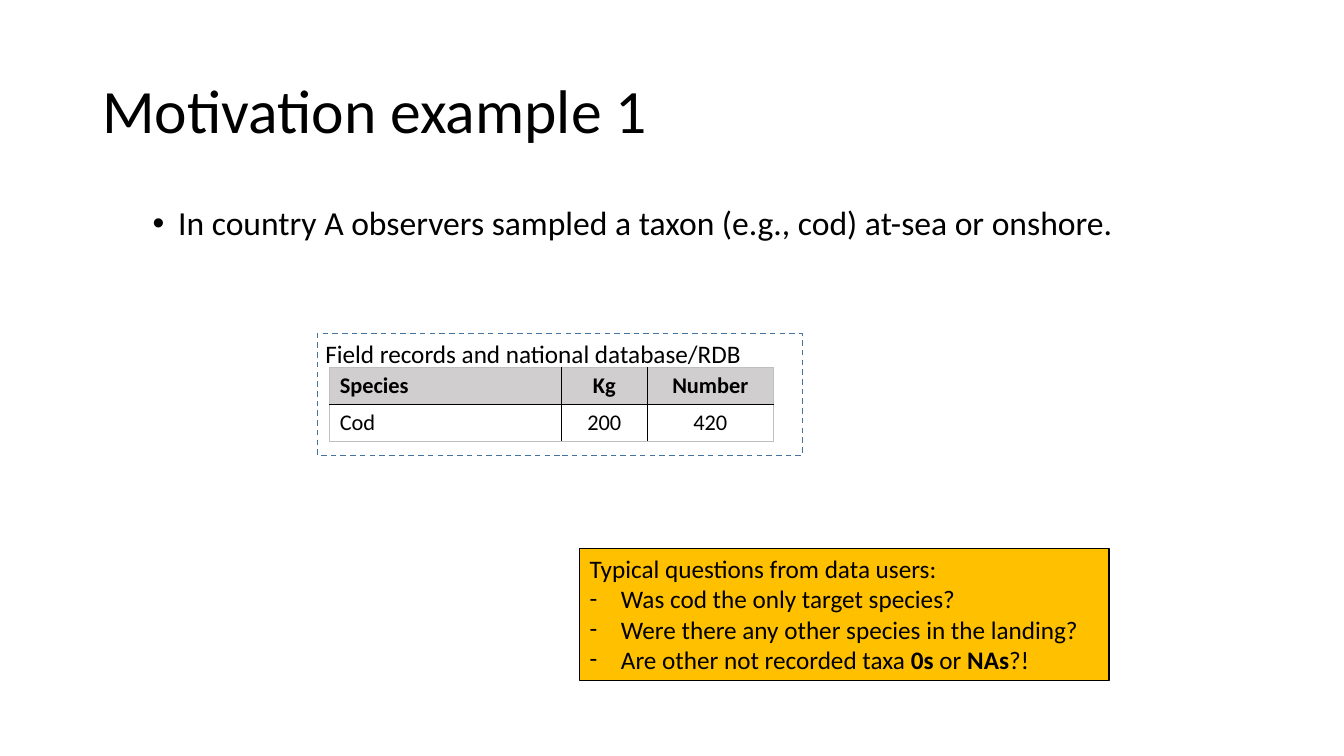
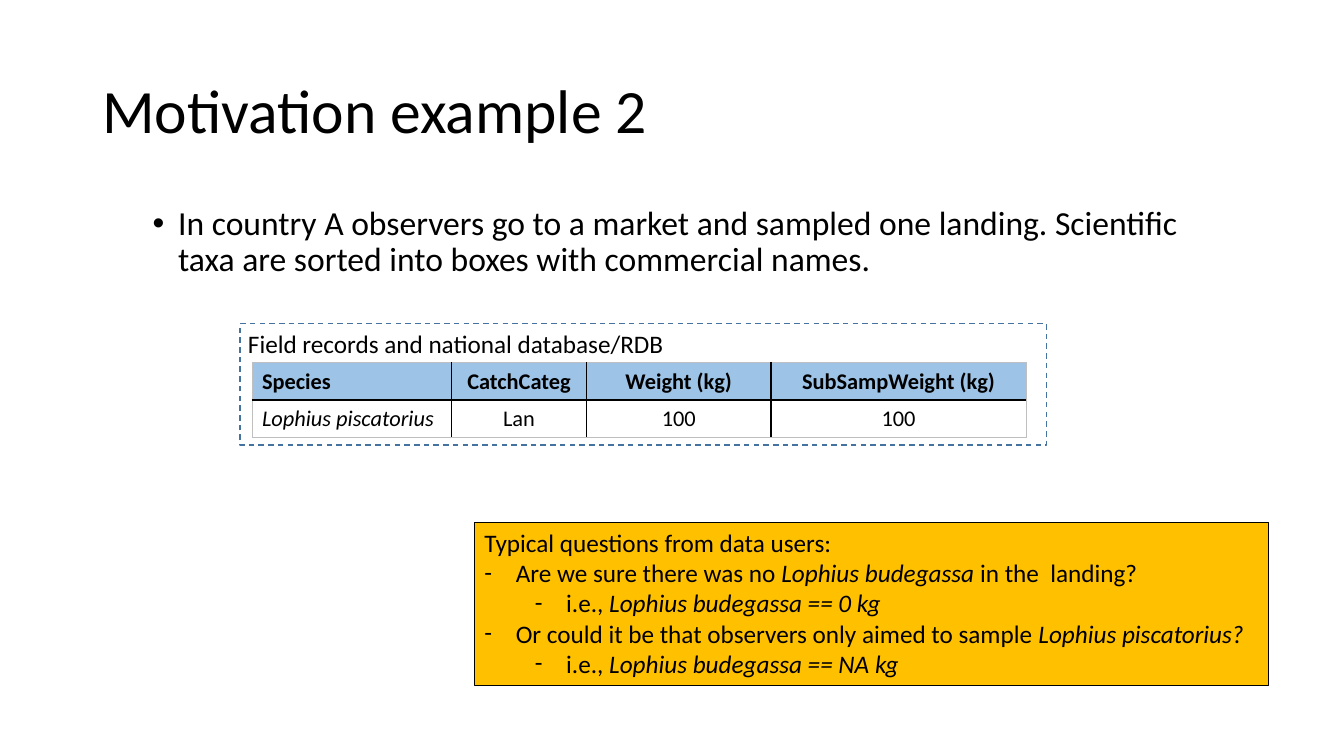
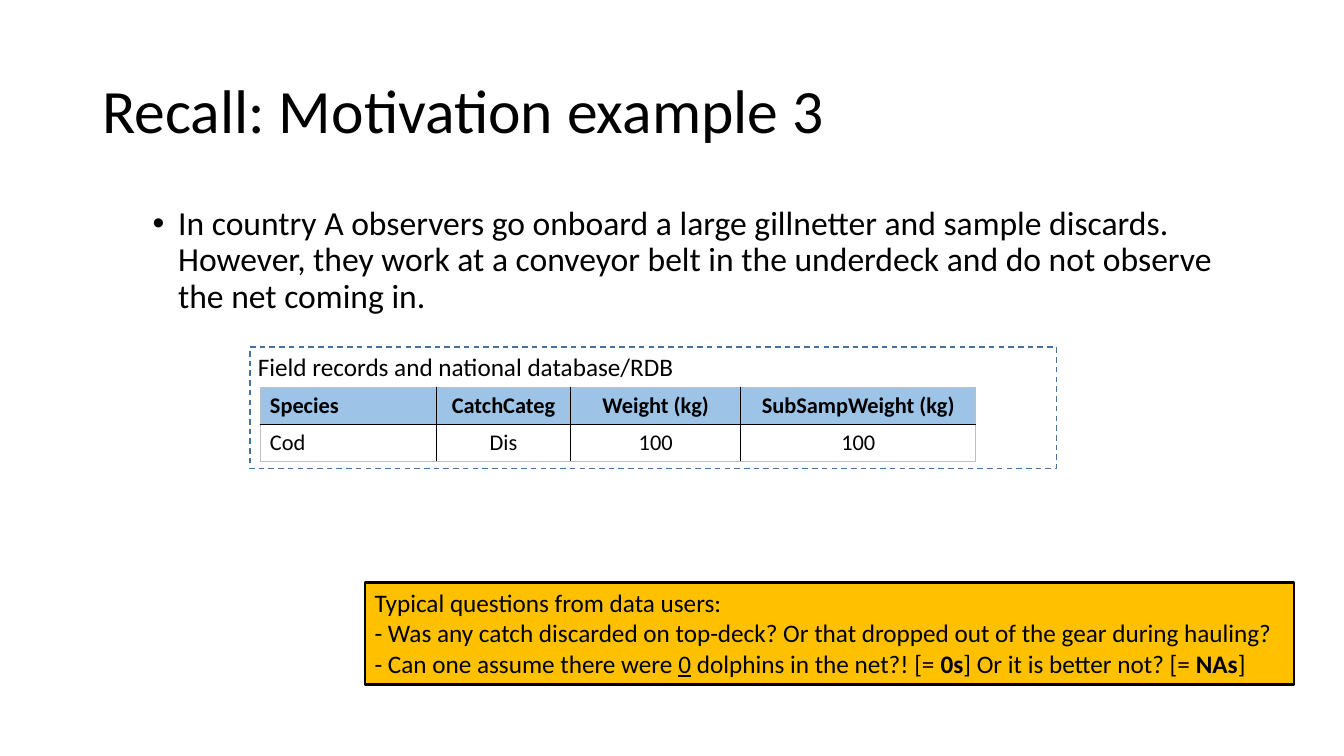
"""Build three slides on motivation examples from fisheries sampling."""
from lxml.etree import SubElement as Sub
from pptx import Presentation
from pptx.dml.color import RGBColor as Rgb
from pptx.enum.dml import MSO_LINE as Dash
from pptx.enum.shapes import MSO_SHAPE as Shape
from pptx.enum.text import MSO_ANCHOR as Anchor, PP_ALIGN as Align
from pptx.oxml.ns import qn
from pptx.util import Cm, Pt

HUES = {"ink": "000000", "grey": "D0CECE", "blue": "9DC3E6",
        "gold": "FFC000", "edge": "43739E", "rim": "BFBFBF"}
FONT = "Calibri"
BOLD, SLANT, UNDER = {"bold": True}, {"italic": True}, {"underline": True}
TITLE = {"size": Pt(44)}
BODY = {"size": Pt(24)}
NOTE = {"size": Pt(18)}
CELL = {"size": Pt(16)}

POINT = ("•", "Arial", 1.91, 0.64)
DASH = ("-", FONT, 0.79, 0.79)
DEEP = ("-", FONT, 2.06, 0.79)

LABEL = "Field records and national database/RDB"
ASK = (None, ["Typical questions from data users:"])
HEADS = ["Species", "CatchCateg", "Weight (kg)", "SubSampWeight (kg)"]
ROW, DEPTH = 0.94, 3.07

SLIDES = [
    {"title": "Motivation example 1",
     "text": "In country A observers sampled a taxon (e.g., cod) at-sea or onshore.",
     "frame": (8, 8.41, 12.22), "table": (8.31, 9.25),
     "cols": [5.84, 2.16, 3.18], "hue": "grey",
     "rows": [["Species", "Kg", "Number"], ["Cod", "200", "420"]], "style": {},
     "box": (14.61, 13.82, 13.34, 3.33), "line": 0.75,
     "asks": [ASK,
              (DASH, ["Was cod the only target species?"]),
              (DASH, ["Were there any other species in the landing?"]),
              (DASH, ["Are other not recorded taxa ", ("0s", BOLD), " or ",
                      ("NAs", BOLD), "?!"])]},
    {"title": "Motivation example 2",
     "text": "In country A observers go to a market and sampled one landing. "
             "Scientific taxa are sorted into boxes with commercial names.",
     "frame": (6.05, 8.15, 20.32), "table": (6.35, 9.14),
     "cols": [5.03, 3.4, 4.65, 6.43], "hue": "blue",
     "rows": [HEADS, ["Lophius piscatorius", "Lan", "100", "100"]],
     "style": SLANT,
     "box": (11.96, 13.16, 20.02, 4.11), "line": 0.75,
     "asks": [ASK,
              (DASH, ["Are we sure there was no ",
                      ("Lophius budegassa ", SLANT), "in the  landing?"]),
              (DEEP, ["i.e., ", ("Lophius budegassa == 0 kg", SLANT)]),
              (DASH, ["Or could it be that observers only aimed to sample ",
                      ("Lophius piscatorius?", SLANT)]),
              (DEEP, ["i.e., ", ("Lophius budegassa == NA kg", SLANT)])]},
    {"title": "Recall: Motivation example 3",
     "text": "In country A observers go onboard a large gillnetter and sample "
             "discards. However, they work at a conveyor belt in the underdeck "
             "and do not observe the net coming in.",
     "frame": (6.3, 8.74, 20.32), "table": (6.55, 9.75),
     "cols": [4.45, 3.38, 4.29, 5.92], "hue": "blue",
     "rows": [HEADS, ["Cod", "Dis", "100", "100"]], "style": {},
     "box": (9.19, 14.68, 23.42, 2.57), "line": 1.5,
     "asks": [ASK,
              (None, ["- Was any catch discarded on top-deck? Or that dropped "
                      "out of the gear during hauling?"]),
              (None, ["- Can one assume there were ", ("0", UNDER),
                      " dolphins in the net?! [= ", ("0s", BOLD),
                      "] Or it is better not? [= ", ("NAs", BOLD), "]"])]},
]


def color(name):
    return Rgb.from_string(HUES[name])


def write(para, runs, form):
    for part in runs:
        text, extra = (part, {}) if isinstance(part, str) else part
        run = para.add_run()
        run.text = text
        for key, val in {"name": FONT, **form, **extra}.items():
            setattr(run.font, key, val)
        run.font.color.rgb = color("ink")


def mark(para, bullet):
    char, face, left, hang = bullet
    props = para._p.get_or_add_pPr()
    props.set("marL", str(Cm(left)))
    props.set("indent", str(-Cm(hang)))
    Sub(props, qn("a:buFont"), typeface=face)
    Sub(props, qn("a:buChar"), char=char)


def fill_text(shape, paras, form, anchor=Anchor.TOP, space=None):
    frame = shape.text_frame
    frame.word_wrap = True
    frame.vertical_anchor = anchor
    for num, (bullet, runs) in enumerate(paras):
        para = frame.add_paragraph() if num else frame.paragraphs[0]
        para.alignment = Align.LEFT
        if space:
            para.line_spacing = space
        if bullet:
            mark(para, bullet)
        write(para, runs, form)


def add_text(slide, spot, paras, form, **opts):
    box = slide.shapes.add_textbox(*map(Cm, spot))
    fill_text(box, paras, form, **opts)


def add_box(slide, spot, edge, width, fill=None):
    box = slide.shapes.add_shape(Shape.RECTANGLE, *map(Cm, spot))
    box.shadow.inherit = False
    if fill:
        box.fill.solid()
        box.fill.fore_color.rgb = color(fill)
    else:
        box.fill.background()
    box.line.color.rgb = color(edge)
    box.line.width = Pt(width)
    return box


def add_edges(cell, outer):
    props = cell._tc.get_or_add_tcPr()
    for num, (side, rim) in enumerate(outer.items()):
        line = props.makeelement(qn("a:ln" + side),
                                 {"w": str(Pt(0.5 if rim else 1))})
        hue = Sub(Sub(line, qn("a:solidFill")), qn("a:srgbClr"))
        hue.set("val", HUES["rim" if rim else "ink"])
        props.insert(num, line)


def add_grid(slide, data):
    rows, cols = data["rows"], data["cols"]
    size = (sum(cols), ROW * len(rows))
    table = slide.shapes.add_table(
        len(rows), len(cols), *map(Cm, data["table"] + size)).table
    table.horz_banding = False
    for col, width in zip(table.columns, cols):
        col.width = Cm(width)
    for y, row in enumerate(rows):
        table.rows[y].height = Cm(ROW)
        for x, text in enumerate(row):
            cell = table.cell(y, x)
            if y == 0:
                cell.fill.solid()
                cell.fill.fore_color.rgb = color(data["hue"])
            else:
                cell.fill.background()
            para = cell.text_frame.paragraphs[0]
            para.alignment = Align.CENTER if x else Align.LEFT
            extra = {} if x or not y else data["style"]
            write(para, [text], {**CELL, "bold": y == 0, **extra})
            add_edges(cell, {"L": x == 0, "R": x == len(cols) - 1,
                             "T": y == 0, "B": y == len(rows) - 1})


def add_slide(deck, data):
    slide = deck.slides.add_slide(deck.slide_layouts[6])
    add_text(slide, (2.33, 1.02, 29.21, 3.68), [(None, [data["title"]])],
             TITLE, anchor=Anchor.MIDDLE, space=0.9)
    add_text(slide, (2.33, 5.08, 29.21, 12.09), [(POINT, [data["text"]])],
             BODY, space=0.9)
    add_grid(slide, data)
    box = add_box(slide, data["box"], "ink", data["line"], "gold")
    fill_text(box, data["asks"], NOTE)
    left, top, width = data["frame"]
    add_text(slide, (left - 0.05, top, width, 1.02), [(None, [LABEL])], NOTE)
    frame = add_box(slide, (left, top, width, DEPTH), "edge", 1)
    frame.line.dash_style = Dash.DASH


def main():
    deck = Presentation()
    deck.slide_width, deck.slide_height = Cm(33.87), Cm(19.05)
    for data in SLIDES:
        add_slide(deck, data)
    deck.save("out.pptx")


if __name__ == "__main__":
    main()
